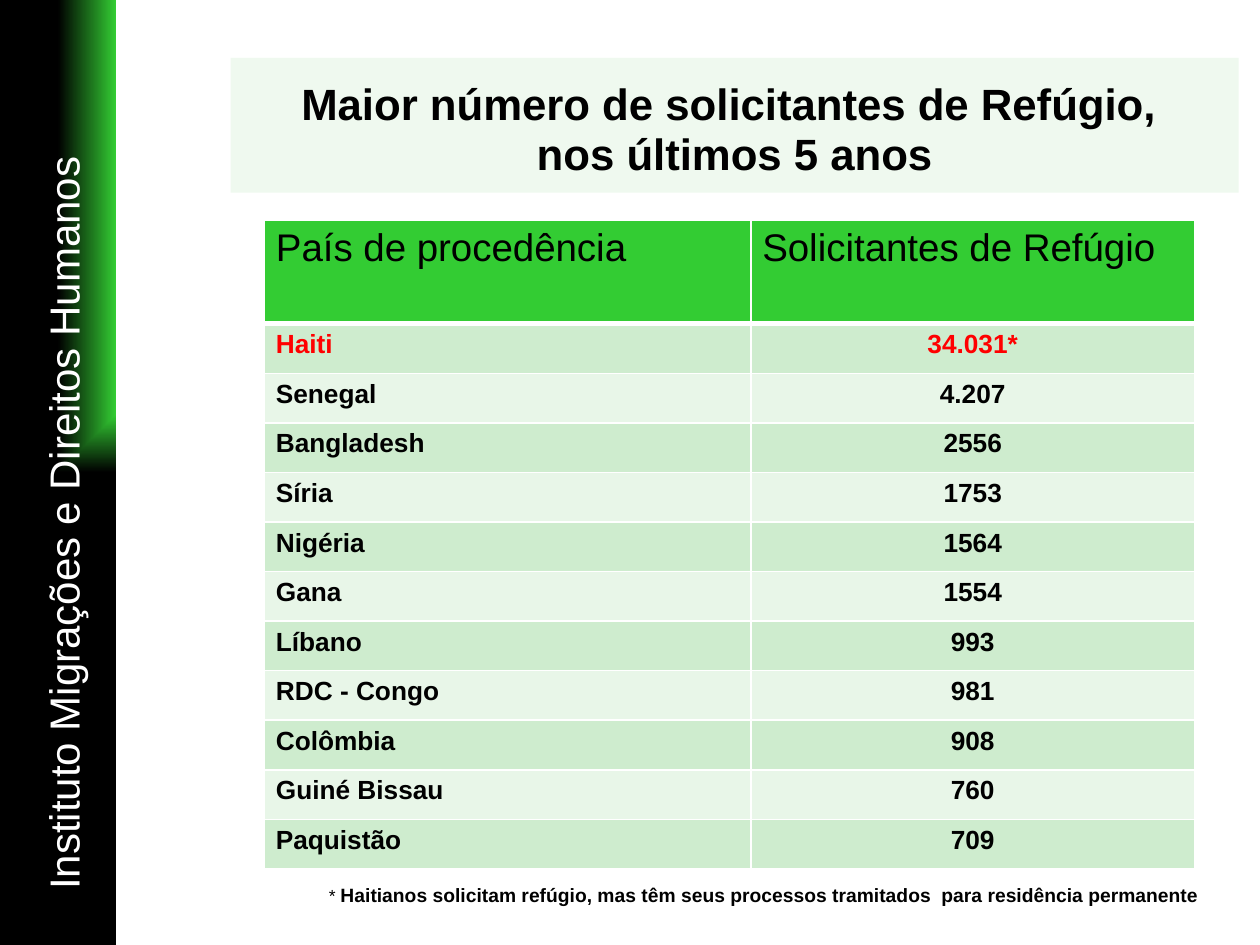
from dataclasses import dataclass
from typing import Any

import lxml.etree
import pptx
import pptx.dml.color
import pptx.enum.shapes
import pptx.enum.text
import pptx.oxml
import pptx.oxml.ns
import pptx.util

Inches = pptx.util.Inches
Align = pptx.enum.text.PP_ALIGN
Anchor = pptx.enum.text.MSO_ANCHOR
AutoSize = pptx.enum.text.MSO_AUTO_SIZE
FONT = "Arial"
COLORS = {
    "black": "000000",
    "white": "FFFFFF",
    "green": "33CC33",
    "title": "EFF9EF",
    "odd_row": "CEECCE",
    "even_row": "E8F6E8",
    "highlight": "FF0000",
}


@dataclass
class Country:
    name: str
    applicants: str
    color: str = "black"


COUNTRIES = [
    Country("Haiti", "34.031*", "highlight"),
    Country("Senegal", "4.207"),
    Country("Bangladesh", "2556"),
    Country("Síria", "1753"),
    Country("Nigéria", "1564"),
    Country("Gana", "1554"),
    Country("Líbano", "993"),
    Country("RDC - Congo", "981"),
    Country("Colômbia", "908"),
    Country("Guiné Bissau", "760"),
    Country("Paquistão", "709"),
]


def rgb(name: str) -> pptx.dml.color.RGBColor:
    return pptx.dml.color.RGBColor.from_string(COLORS[name])


def add_text(paragraph: Any, text: str, *, size: float, color: str = "black",
             bold: bool = False, align: Any = Align.LEFT) -> None:
    paragraph.alignment = align
    for index, line in enumerate(text.split("\n")):
        if index:
            paragraph.add_line_break()
        run = paragraph.add_run()
        run.text = line
        run.font.name = FONT
        run.font.size = pptx.util.Pt(size)
        run.font.bold = bold
        run.font.color.rgb = rgb(color)


def set_margins(frame: Any, horizontal: float, vertical: float) -> None:
    frame.margin_left = frame.margin_right = Inches(horizontal)
    frame.margin_top = frame.margin_bottom = Inches(vertical)


def add_label(slide: Any, left: float, top: float, width: float, height: float) -> Any:
    shape = slide.shapes.add_textbox(Inches(left), Inches(top), Inches(width), Inches(height))
    shape.text_frame.word_wrap = False
    set_margins(shape.text_frame, 0.09, 0.04)
    return shape


def add_sidebar(slide: Any) -> None:
    bar = slide.shapes.add_shape(pptx.enum.shapes.MSO_SHAPE.RECTANGLE, 0, 0,
                                 Inches(0.92), Inches(7.5))
    bar.shadow.inherit = False
    bar.line.fill.background()
    bar.fill.gradient()
    gradient = bar._element.spPr.find(pptx.oxml.ns.qn("a:gradFill"))
    gradient.getparent().replace(gradient, pptx.oxml.parse_xml(
        f'<a:gradFill {pptx.oxml.ns.nsdecls("a")} rotWithShape="1"><a:gsLst>'
        f'<a:gs pos="0"><a:srgbClr val="{COLORS["green"]}"/></a:gs>'
        f'<a:gs pos="100000"><a:srgbClr val="{COLORS["black"]}"/></a:gs></a:gsLst>'
        '<a:path path="rect"><a:fillToRect l="100000" b="100000"/></a:path></a:gradFill>'))
    label = add_label(slide, -2.54, 3.87, 6.08, 0.5)
    label.rotation = 270
    set_margins(label.text_frame, 0.1, 0.05)
    add_text(label.text_frame.paragraphs[0], "Instituto Migrações e Direitos Humanos",
             size=24, color="white")


def format_title(title: Any) -> None:
    title.left, title.top = Inches(1.83), Inches(0.46)
    title.width, title.height = Inches(8), Inches(1.07)
    title.fill.solid()
    title.fill.fore_color.rgb = rgb("title")
    frame = title.text_frame
    frame.word_wrap = True
    frame.auto_size = AutoSize.NONE
    frame.vertical_anchor = Anchor.MIDDLE
    set_margins(frame, 0.09, 0.04)
    frame.margin_top = Inches(0.12)
    frame.paragraphs[0].line_spacing = 0.95
    add_text(frame.paragraphs[0], "Maior número de solicitantes de Refúgio, \nnos últimos 5 anos",
             size=25, bold=True, align=Align.CENTER)


def format_cell(cell: Any, fill: str, bottom_width: float = 1) -> None:
    properties = cell._tc.get_or_add_tcPr()
    for side in "LRTB":
        width = bottom_width if side == "B" else 1
        line = lxml.etree.SubElement(properties, pptx.oxml.ns.qn(f"a:ln{side}"),
                                     w=str(pptx.util.Pt(width)))
        solid = lxml.etree.SubElement(line, pptx.oxml.ns.qn("a:solidFill"))
        lxml.etree.SubElement(solid, pptx.oxml.ns.qn("a:srgbClr"), val=COLORS["white"])
    cell.fill.solid()
    cell.fill.fore_color.rgb = rgb(fill)
    set_margins(cell, 0.09, 0.05)


def add_country_table(slide: Any) -> None:
    header_height, body_height = 0.82, 4.33
    table = slide.shapes.add_table(
        len(COUNTRIES) + 1, 2, Inches(2.1), Inches(1.75),
        Inches(7.38), Inches(header_height + body_height)).table
    for column, width in zip(table.columns, (3.86, 3.52)):
        column.width = Inches(width)
    for row in table.rows:
        row.height = Inches(body_height / len(COUNTRIES))
    table.rows[0].height = Inches(header_height)

    for column, heading in enumerate(("País de procedência", "Solicitantes de Refúgio")):
        cell = table.cell(0, column)
        format_cell(cell, "green", bottom_width=3)
        add_text(cell.text_frame.paragraphs[0], heading, size=22)
    for row, country in enumerate(COUNTRIES, start=1):
        values = ((country.name, Align.LEFT), (country.applicants, Align.CENTER))
        for column, (value, align) in enumerate(values):
            cell = table.cell(row, column)
            format_cell(cell, "odd_row" if row % 2 else "even_row")
            add_text(cell.text_frame.paragraphs[0], value, size=15,
                     color=country.color, bold=True, align=align)


def add_footnote(slide: Any) -> None:
    paragraph = add_label(slide, 2.52, 6.97, 7.12, 0.27).text_frame.paragraphs[0]
    add_text(paragraph, "* ", size=10)
    add_text(paragraph, "Haitianos solicitam refúgio, mas têm seus processos tramitados"
             "  para residência permanente", size=11, bold=True)


def main() -> None:
    presentation = pptx.Presentation()
    presentation.slide_width, presentation.slide_height = Inches(10), Inches(7.5)
    slide = presentation.slides.add_slide(presentation.slide_layouts[5])
    add_sidebar(slide)
    format_title(slide.shapes.title)
    add_country_table(slide)
    add_footnote(slide)
    presentation.save("out.pptx")


if __name__ == "__main__":
    main()
